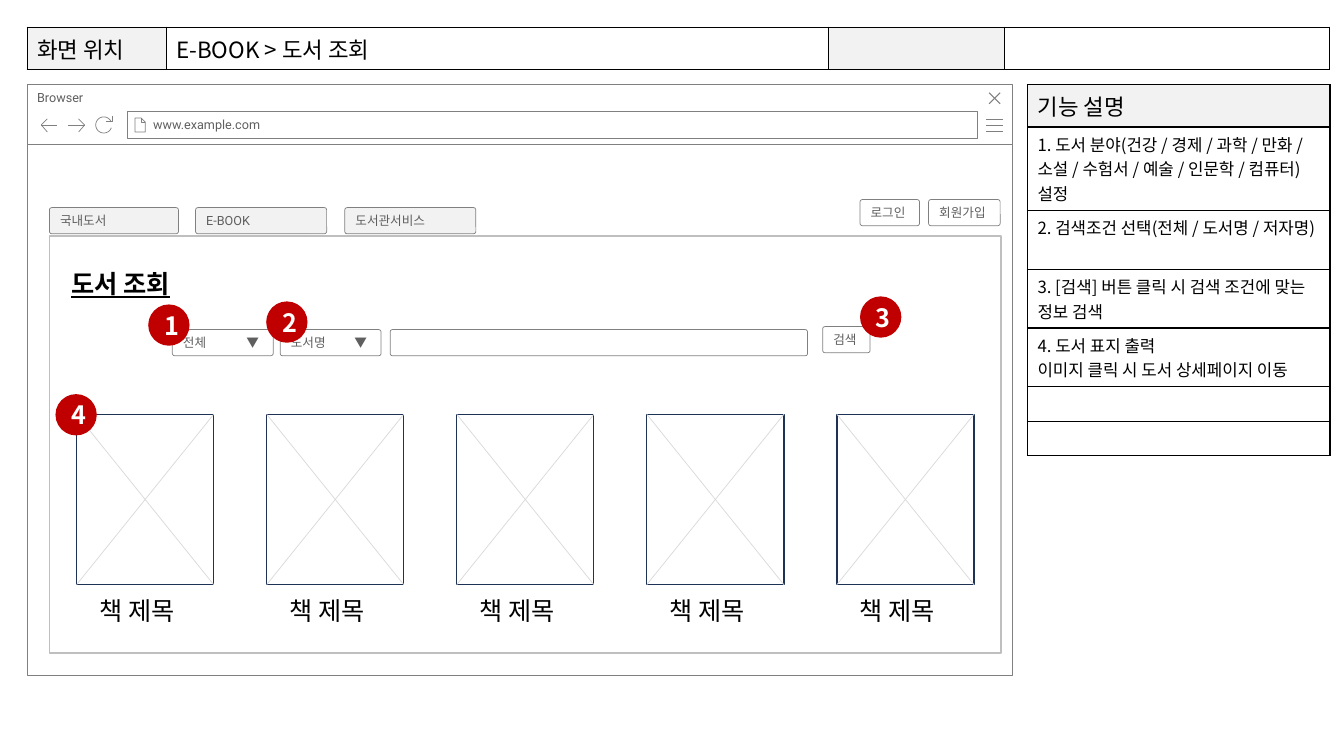
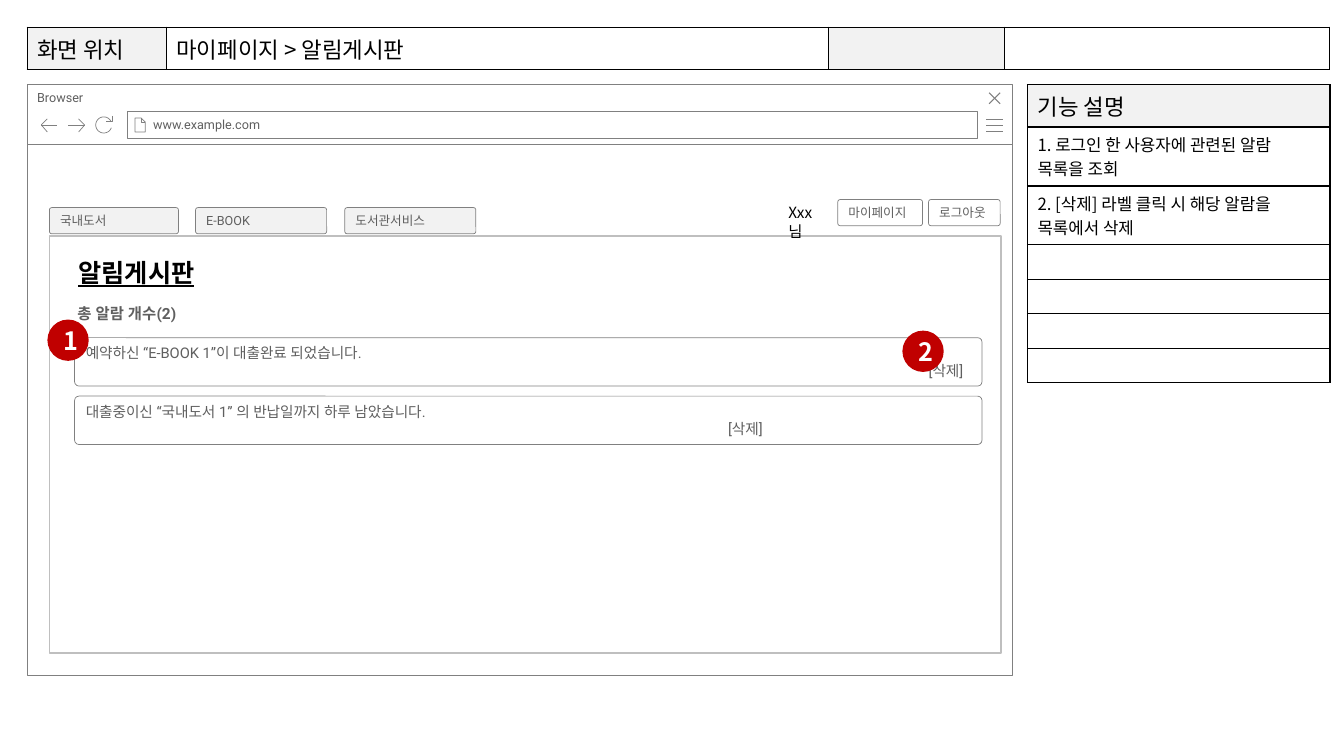
from dataclasses import dataclass
from math import cos, radians, sin
from typing import Optional

from lxml.etree import SubElement
from pptx import Presentation
from pptx.dml.color import RGBColor
from pptx.enum.shapes import MSO_CONNECTOR as Connector, MSO_SHAPE as Preset
from pptx.enum.text import MSO_ANCHOR as Anchor, PP_ALIGN as Align
from pptx.oxml.ns import qn
from pptx.slide import Slide
from pptx.util import Inches, Pt

COLORS = {
    "ink": "000000", "label": "5F5F5F", "outline": "808080", "panel": "BFBFBF",
    "cross": "D9D9D9", "cover": "1E3256", "shade": "F2F2F2", "white": "FFFFFF",
    "badge": "C00000",
}
NOTO, ROBOTO = "Noto Sans CJK KR", "Roboto"
FORMATS = {
    "heading": {"name": NOTO, "size": Pt(16)},
    "note": {"name": NOTO, "size": Pt(12)},
    "title": {"name": NOTO, "size": Pt(18), "bold": True, "underline": True},
    "caption": {"name": NOTO, "size": Pt(18)},
    "badge": {"name": NOTO, "size": Pt(18), "bold": True},
    "user": {"name": NOTO, "size": Pt(11)},
    "label": {"name": ROBOTO, "size": Pt(9)},
    "alarm": {"name": ROBOTO, "size": Pt(10.5)},
    "count": {"name": ROBOTO, "size": Pt(11), "bold": True},
}
FORMAT_COLORS = {"label": "label", "alarm": "label", "count": "label", "badge": "white"}
Place = tuple[float, float, float, float]
Stroke = list[tuple[float, float]]


@dataclass
class Box:
    place: Place
    text: str = ""
    style: str = "label"
    preset: Preset = Preset.ROUNDED_RECTANGLE
    fill: Optional[str] = "white"
    outline: Optional[str] = "outline"
    weight: float = 0.5
    anchor: Anchor = Anchor.MIDDLE
    align: Align = Align.LEFT
    inset: float = 0.1


@dataclass
class Caption:
    place: Place
    text: str
    style: str


@dataclass
class Note:
    text: str = ""
    lines: int = 1


@dataclass
class Alarm:
    top: float
    text: str
    delete_indent: float


@dataclass
class Screen:
    location: str
    notes: list[Note]
    boxes: list[Box]
    captions: list[Caption]
    badges: list[tuple[float, float]]


def rgb(color: str) -> RGBColor:
    return RGBColor.from_string(COLORS[color])


def write(paragraph, text: str, style: str, align: Align = Align.LEFT) -> None:
    paragraph.text = text
    paragraph.alignment = align
    for run in paragraph.runs:
        for attribute, value in FORMATS[style].items():
            setattr(run.font, attribute, value)
        run.font.color.rgb = rgb(FORMAT_COLORS.get(style, "ink"))
        SubElement(run.font._element, qn("a:ea"), typeface=FORMATS[style]["name"])
    if not text:
        ending = SubElement(paragraph._p, qn("a:endParaRPr"),
                            sz=str(FORMATS[style]["size"].centipoints))
        for script in ("a:latin", "a:ea"):
            SubElement(ending, qn(script), typeface=FORMATS[style]["name"])


def add_box(slide: Slide, box: Box):
    shape = slide.shapes.add_shape(box.preset, *map(Inches, box.place))
    shape.shadow.inherit = False
    if box.preset == Preset.ROUNDED_RECTANGLE:
        shape.adjustments[0] = 0.09
    if box.fill:
        shape.fill.solid()
        shape.fill.fore_color.rgb = rgb(box.fill)
    else:
        shape.fill.background()
    if box.outline:
        shape.line.color.rgb = rgb(box.outline)
        shape.line.width = Pt(box.weight)
    else:
        shape.line.fill.background()
    frame = shape.text_frame
    frame.word_wrap = True
    frame.vertical_anchor = box.anchor
    frame.margin_left = Inches(box.inset)
    if box.text:
        write(frame.paragraphs[0], box.text, box.style, box.align)
    if "\t" in box.text:
        properties = frame.paragraphs[0]._p.get_or_add_pPr()
        stops = SubElement(properties, qn("a:tabLst"))
        SubElement(stops, qn("a:tab"), pos=str(Inches(0.63)), algn="l")
    return shape


def add_caption(slide: Slide, caption: Caption) -> None:
    frame = slide.shapes.add_textbox(*map(Inches, caption.place)).text_frame
    frame.word_wrap = True
    write(frame.paragraphs[0], caption.text, caption.style)


def add_icon(slide: Slide, strokes: list[Stroke], weight: float = 0.5) -> None:
    builder = None
    for stroke in strokes:
        start, *rest = [(Inches(x), Inches(y)) for x, y in stroke]
        if builder is None:
            builder = slide.shapes.build_freeform(*start)
        else:
            builder.move_to(*start)
        builder.add_line_segments(rest, close=False)
    icon = builder.convert_to_shape()
    icon.shadow.inherit = False
    icon.fill.background()
    icon.line.color.rgb = rgb("outline")
    icon.line.width = Pt(weight)


def add_cross(slide: Slide, left: float, top: float, right: float, bottom: float) -> None:
    for start, end in ((left, right), (right, left)):
        line = slide.shapes.add_connector(
            Connector.STRAIGHT, *map(Inches, (start, top, end, bottom)))
        SubElement(line._element.spPr, qn("a:effectLst"))
        line.line.color.rgb = rgb("cross")
        line.line.width = Pt(0.5)


def add_grid(slide: Slide, left: float, top: float, widths: list[float],
             heights: list[float], texts: list[list[tuple[str, str]]],
             shaded: set[tuple[int, int]]) -> None:
    table = slide.shapes.add_table(
        len(heights), len(widths), Inches(left), Inches(top),
        Inches(sum(widths)), Inches(sum(heights))).table
    table.first_row = table.horz_banding = False
    for column, width in zip(table.columns, widths):
        column.width = Inches(width)
    for i, height in enumerate(heights):
        table.rows[i].height = Inches(height)
        for j, (text, style) in enumerate(texts[i]):
            cell = table.cell(i, j)
            properties = cell._tc.get_or_add_tcPr()
            for side in ("a:lnL", "a:lnR", "a:lnT", "a:lnB"):
                border = SubElement(properties, qn(side), w=str(Pt(1)))
                SubElement(SubElement(border, qn("a:solidFill")),
                           qn("a:srgbClr"), val=COLORS["ink"])
            if (i, j) in shaded:
                cell.fill.solid()
                cell.fill.fore_color.rgb = rgb("shade")
            else:
                cell.fill.background()
            write(cell.text_frame.paragraphs[0], text, style)


def add_browser(slide: Slide) -> None:
    for box in (
        Box((0.27, 1.43, 9.77, 5.27), preset=Preset.RECTANGLE),
        Box((0.27, 0.84, 9.77, 0.59), "Browser", preset=Preset.RECTANGLE, anchor=Anchor.TOP),
        Box((1.26, 1.11, 8.43, 0.26), "www.example.com", preset=Preset.RECTANGLE, inset=0.26),
    ):
        add_box(slide, box)
    add_icon(slide, [[(9.78, y), (9.95, y)] for y in (1.18, 1.24, 1.3)])
    add_icon(slide, [[(9.92, 0.92), (9.81, 1.03)], [(9.81, 0.92), (9.92, 1.03)]], 0.75)
    add_icon(slide, [[(1.4, 1.17), (1.4, 1.21), (1.44, 1.21)],
                     [(1.34, 1.17), (1.34, 1.31), (1.44, 1.31), (1.44, 1.21),
                      (1.4, 1.17), (1.34, 1.17)]])
    for tip, neck, tail in ((0.41, 0.47, 0.57), (0.84, 0.78, 0.67)):
        add_icon(slide, [[(neck, 1.31), (tip, 1.24), (neck, 1.18)],
                         [(tip, 1.24), (tail, 1.24)]])
    reload_arc = [(1.03 + 0.08 * cos(radians(angle)), 1.24 + 0.08 * sin(radians(angle)))
                  for angle in range(20, 331, 10)]
    add_icon(slide, [[(1.11, 1.15), (1.11, 1.2), (1.05, 1.2)], reload_arc])


def add_screen(slide: Slide, screen: Screen) -> None:
    add_browser(slide)
    add_grid(slide, 10.19, 0.84, [3], [0.42] + [0.1 + 0.24 * note.lines for note in screen.notes],
             [[("기능 설명", "heading")]] + [[(note.text, "note")] for note in screen.notes],
             {(0, 0)})
    add_grid(slide, 0.27, 0.27, [1.38, 6.57, 1.74, 3.23], [0.41],
             [[(text, "heading") for text in ("화면 위치", screen.location, "", "")]],
             {(0, 0), (0, 2)})
    for left, width, menu in ((0.49, 1.28, "국내도서"), (1.94, 1.3, "E-BOOK"),
                              (3.42, 1.3, "도서관서비스")):
        add_box(slide, Box((left, 2.06, width, 0.26), menu, fill="shade"))
    add_box(slide, Box((0.49, 2.34, 9.44, 4.14), preset=Preset.RECTANGLE,
                       fill=None, outline="panel", weight=1))
    for box in screen.boxes:
        add_box(slide, box)
    for caption in screen.captions:
        add_caption(slide, caption)


def add_badges(slide: Slide, screen: Screen) -> None:
    for number, (left, top) in enumerate(screen.badges, 1):
        add_box(slide, Box((left, top, 0.41, 0.41), str(number), "badge", Preset.OVAL,
                           "badge", None, align=Align.CENTER))


def add_books(slide: Slide, count: int = 5) -> None:
    first, last, top, width, height = 0.76, 8.3, 4.11, 1.36, 1.69
    for i in range(count):
        left = first + i * (last - first) / (count - 1)
        add_box(slide, Box((left, top, width, height), preset=Preset.RECTANGLE,
                           fill=None, outline="cover", weight=1))
        add_cross(slide, left, top, left + width, top + height)
        add_caption(slide, Caption((left + 0.13, 5.86, 1.09, 0.4), "책 제목", "caption"))


def add_alarm(slide: Slide, alarm: Alarm) -> None:
    card = add_box(slide, Box((0.74, alarm.top, 9, 0.48), alarm.text, "alarm"))
    delete = card.text_frame.add_paragraph()
    write(delete, "[삭제]", "alarm")
    delete._p.get_or_add_pPr().set("marL", str(Inches(alarm.delete_indent)))


SEARCH = Screen(
    "E-BOOK > 도서 조회",
    [Note("1. 도서 분야(건강 / 경제 / 과학 / 만화 / 소설 / 수험서 / 예술 / 인문학 / 컴퓨터) 설정", 3),
     Note("2. 검색조건 선택(전체 / 도서명 / 저자명)", 2),
     Note("3. [검색] 버튼 클릭 시 검색 조건에 맞는 정보 검색", 2),
     Note("4. 도서 표지 출력\n이미지 클릭 시 도서 상세페이지 이동", 2), Note(), Note()],
    [Box((8.53, 1.98, 0.59, 0.26), "로그인"),
     Box((9.21, 1.98, 0.71, 0.26), "회원가입"),
     Box((2.78, 3.27, 1, 0.26), "도서명\t▼"),
     Box((3.87, 3.27, 4.14, 0.26)),
     Box((8.16, 3.24, 0.47, 0.26), "검색"),
     Box((1.71, 3.27, 1, 0.26), "전체\t▼")],
    [Caption((0.61, 2.61, 1.3, 0.4), "도서 조회", "title")],
    [(1.47, 3.02), (2.64, 2.99), (8.53, 2.94), (0.55, 3.91)],
)
ALARMS = Screen(
    "마이페이지 > 알림게시판",
    [Note("1. 로그인 한 사용자에 관련된 알람 목록을 조회", 2),
     Note("2. [삭제] 라벨 클릭 시 해당 알람을 목록에서 삭제", 2),
     Note(), Note(), Note(), Note()],
    [Box((8.31, 1.98, 0.84, 0.26), "마이페이지"),
     Box((9.21, 1.98, 0.71, 0.26), "로그아웃")],
    [Caption((7.72, 1.97, 0.55, 0.29), "Xxx님", "user"),
     Caption((0.68, 2.5, 1.46, 0.4), "알림게시판", "title"),
     Caption((0.67, 2.97, 1.35, 0.29), "총 알람 개수(2)", "count")],
    [(0.47, 3.17), (8.95, 3.28)],
)
ALARM_LIST = [
    Alarm(3.35, "예약하신 “E-BOOK 1”이 대출완료 되었습니다.", 8.36),
    Alarm(3.93, "대출중이신 “국내도서 1” 의 반납일까지 하루 남았습니다.", 6.37),
]


def main() -> None:
    deck = Presentation()
    deck.slide_width, deck.slide_height = Inches(13.33), Inches(7.5)
    search, alarms = (deck.slides.add_slide(deck.slide_layouts[6]) for _ in range(2))
    add_screen(search, SEARCH)
    add_books(search)
    add_badges(search, SEARCH)
    add_screen(alarms, ALARMS)
    for alarm in ALARM_LIST:
        add_alarm(alarms, alarm)
    add_badges(alarms, ALARMS)
    deck.save("out.pptx")


if __name__ == "__main__":
    main()
